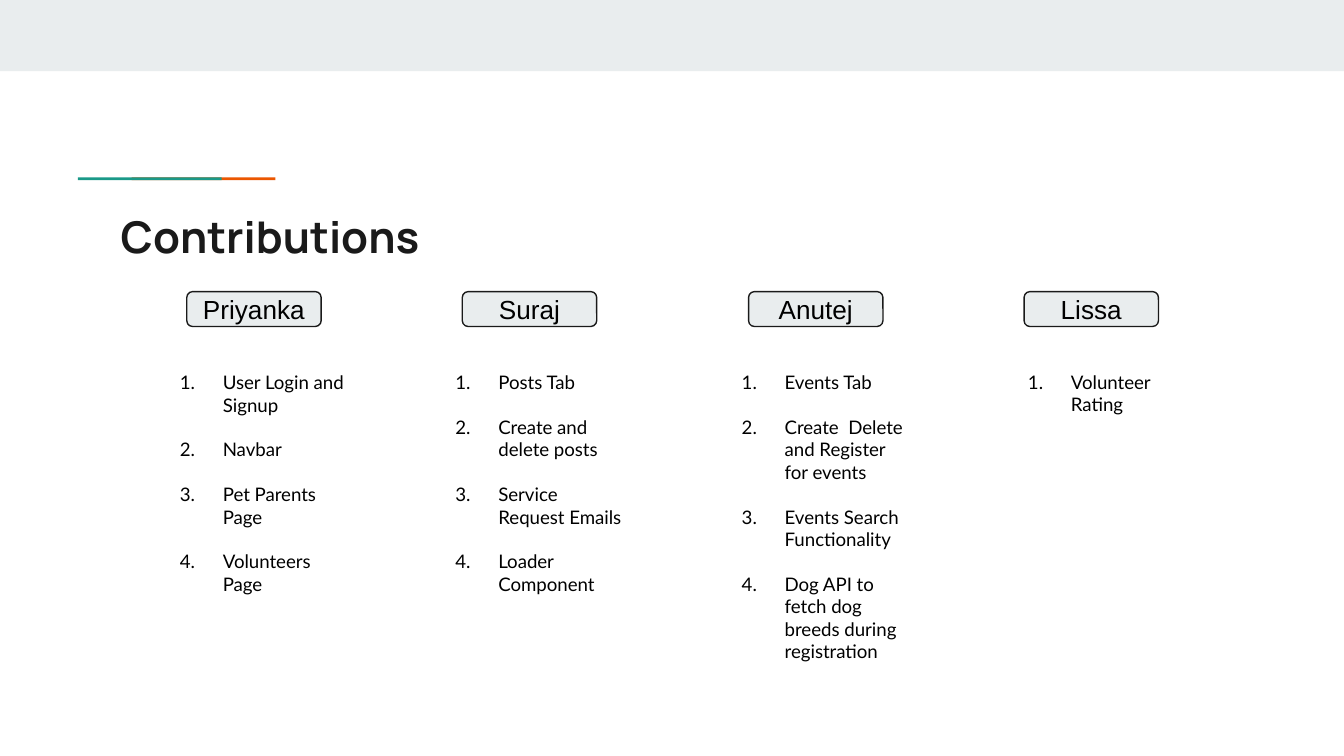
from lxml import etree
from pptx import Presentation
from pptx.dml.color import RGBColor
from pptx.enum import shapes, text
from pptx.oxml import ns
from pptx.util import Inches, Pt

BLACK = RGBColor(0x00, 0x00, 0x00)
INK = RGBColor(0x1A, 0x1A, 0x1A)
MIST = RGBColor(0xE9, 0xED, 0xEE)
TEAL = RGBColor(0x1A, 0x99, 0x88)
ORANGE = RGBColor(0xEB, 0x56, 0x00)

# name, left edge of the name box, contributions
MEMBERS = [
    ("Priyanka", 1.39, ["User Login and Signup", "Navbar", "Pet Parents Page",
                        "Volunteers Page"]),
    ("Suraj", 3.44, ["Posts Tab", "Create and delete posts",
                     "Service Request Emails", "Loader Component"]),
    ("Anutej", 5.57, ["Events Tab", "Create  Delete and Register for events",
                      "Events Search Functionality",
                      "Dog API to fetch dog breeds during registration"]),
    ("Lissa", 7.62, ["Volunteer Rating"]),
]


def write(p, content, font="Lato", size=10, color=BLACK, bold=False, align=None):
    r = p.add_run()
    r.text = content
    r.font.name, r.font.size, r.font.bold = font, Pt(size), bold
    r.font.color.rgb = color
    p.alignment = align


def number(p):
    """Make the paragraph an automatically numbered item with a hanging indent."""
    pPr = p._p.get_or_add_pPr()
    pPr.set("marL", str(Inches(0.5)))
    pPr.set("indent", str(Inches(-0.32)))
    font = etree.SubElement(pPr, ns.qn("a:buFont"))
    font.set("typeface", "Lato")
    bullet = etree.SubElement(pPr, ns.qn("a:buAutoNum"))
    bullet.set("type", "arabicPeriod")


class Deck:
    def __init__(self, prs):
        self.s = prs.slides.add_slide(prs.slide_layouts[6])

    def frame(self, sp):
        tf = sp.text_frame
        tf.word_wrap = True
        tf.margin_left = tf.margin_right = Inches(0.1)
        tf.margin_top = tf.margin_bottom = Inches(0.1)
        return tf

    def box(self, x, y, w, h, fill, kind=shapes.MSO_SHAPE.RECTANGLE):
        sp = self.s.shapes.add_shape(kind, Inches(x), Inches(y), Inches(w), Inches(h))
        sp.shadow.inherit = False
        sp.fill.solid()
        sp.fill.fore_color.rgb = fill
        sp.line.fill.background()
        return sp

    def name_box(self, x, y, name):
        sp = self.box(x, y, 1, 0.26, MIST, shapes.MSO_SHAPE.ROUNDED_RECTANGLE)
        sp.line.color.rgb = INK
        sp.line.width = Pt(0.75)
        tf = self.frame(sp)
        tf.vertical_anchor = text.MSO_ANCHOR.MIDDLE
        write(tf.paragraphs[0], name, font="Arial", size=14,
              align=text.PP_ALIGN.CENTER)

    def text_box(self, x, y, w, h):
        return self.frame(self.s.shapes.add_textbox(
            Inches(x), Inches(y), Inches(w), Inches(h)))

    def title(self, x, y, w, h, content):
        tf = self.text_box(x, y, w, h)
        write(tf.paragraphs[0], content, font="Manrope", size=23.4, color=INK,
              bold=True)

    def numbered_list(self, x, y, w, h, items):
        tf = self.text_box(x, y, w, h)
        for i, item in enumerate(items):
            p = tf.add_paragraph() if i else tf.paragraphs[0]
            number(p)
            if i:
                p.space_before = Pt(12)
            write(p, item)


def main():
    prs = Presentation()
    prs.slide_width = Inches(10)
    prs.slide_height = prs.slide_width * 9 // 16
    deck = Deck(prs)
    deck.box(0, 0, 10, 0.53, MIST)
    for x, color in ((0.98, ORANGE), (0.58, TEAL)):
        deck.box(x, 1.32, 1.07, 0.02, color)
    deck.title(0.8, 1.46, 8.41, 0.59, "Contributions")

    list_heights = {"Anutej": 2.56, "Lissa": 0.54}
    for name, x, items in MEMBERS:
        deck.name_box(x, 2.17, name)
        list_x = x - (0.25 if name == "Lissa" else 0.33)
        deck.numbered_list(list_x, 2.66, 1.65, list_heights.get(name, 1.89), items)
    prs.save("out.pptx")


if __name__ == "__main__":
    main()
